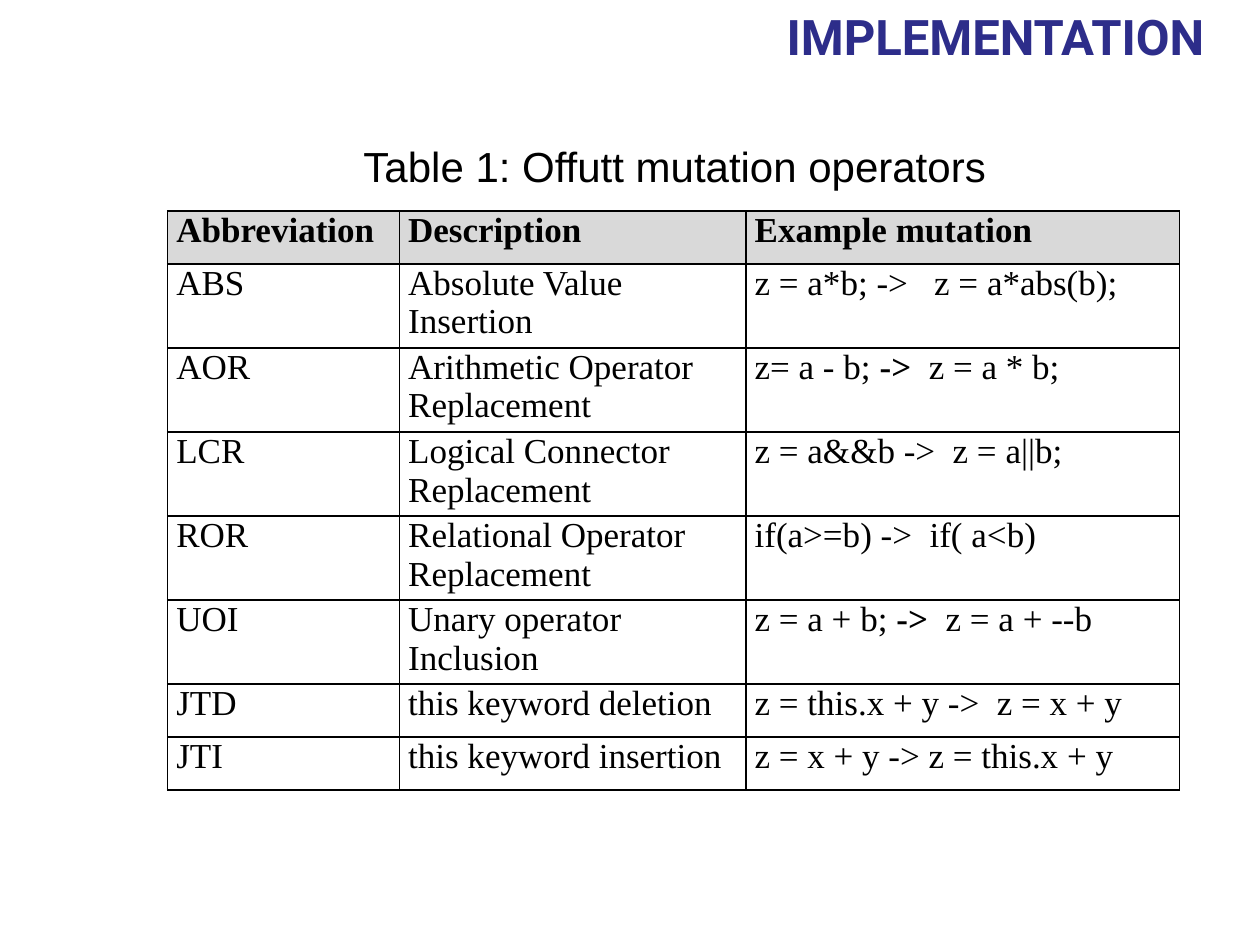
import pptx
import pptx.dml.color
import pptx.enum.text
import pptx.oxml
import pptx.oxml.ns
import pptx.util

Pt = pptx.util.Pt
HEADINGS = ["Abbreviation", "Description", "Example mutation"]
OPERATORS = [
    ["ABS", "Absolute Value Insertion", "z = a*b; ->   z = a*abs(b);"],
    ["AOR", "Arithmetic Operator Replacement", ("z= a - b; ", "->  ", "z = a * b;")],
    ["LCR", "Logical Connector Replacement", "z = a&&b ->  z = a||b;"],
    ["ROR", "Relational Operator Replacement", "if(a>=b) ->  if( a<b)"],
    ["UOI", "Unary operator Inclusion", ("z = a + b; ", "->  ", "z = a + --b")],
    ["JTD", "this keyword deletion", "z = this.x + y ->  z = x + y"],
    ["JTI", "this keyword insertion", "z = x + y -> z = this.x + y"],
]
COLUMN_WIDTHS = [132.5, 198, 247.7]
ROW_HEIGHTS = [30.24] + [48] * 5 + [30.24] * 2


def color(hex_string):
    return pptx.dml.color.RGBColor.from_string(hex_string)


class OperatorSlide:
    """Holds the style and the current slide, and adds its text and table."""

    ink = "000000"
    accent = "2D2D8A"
    heading_fill = "D9D9D9"
    table_font = "Times New Roman"
    table_size = 20
    cell_margin = 5
    border_width = 1

    def __init__(self, deck):
        self.slide = deck.slides.add_slide(deck.slide_layouts[6])

    def style(self, paragraph, name, size, ink, bold=False):
        font = paragraph.font
        font.name, font.size, font.bold = name, Pt(size), bold
        font.color.rgb = color(ink)

    def text(self, wording, box, name, size, ink, bold=False, wrap=True):
        frame = self.slide.shapes.add_textbox(*map(Pt, box)).text_frame
        frame.word_wrap = wrap
        frame.auto_size = pptx.enum.text.MSO_AUTO_SIZE.SHAPE_TO_FIT_TEXT
        paragraph = frame.paragraphs[0]
        paragraph.text = wording
        paragraph.alignment = pptx.enum.text.PP_ALIGN.CENTER
        self.style(paragraph, name, size, ink, bold)

    def borders(self, cell):
        properties = cell._tc.get_or_add_tcPr()
        for side in "LRTB":
            properties.append(pptx.oxml.parse_xml(
                f'<a:ln{side} {pptx.oxml.ns.nsdecls("a")} w="{Pt(self.border_width)}">'
                f'<a:solidFill><a:srgbClr val="{self.ink}"/></a:solidFill></a:ln{side}>'))

    def cell(self, cell, wording, heading):
        cell.margin_left = cell.margin_right = Pt(self.cell_margin)
        cell.margin_top = cell.margin_bottom = 0
        self.borders(cell)
        if heading:
            cell.fill.solid()
            cell.fill.fore_color.rgb = color(self.heading_fill)
        else:
            cell.fill.background()
        paragraph = cell.text_frame.paragraphs[0]
        self.style(paragraph, self.table_font, self.table_size, self.ink, heading)
        if isinstance(wording, str):
            paragraph.text = wording
        else:
            for part, bold in zip(wording, (False, True, False)):
                run = paragraph.add_run()
                run.text, run.font.bold = part, bold

    def table(self, rows, left, top, widths, heights):
        box = map(Pt, (left, top, sum(widths), sum(heights)))
        table = self.slide.shapes.add_table(len(rows), len(widths), *box).table
        table.first_row = table.horz_banding = False
        for column, width in zip(table.columns, widths):
            column.width = Pt(width)
        for row, height in zip(table.rows, heights):
            row.height = Pt(height)
        for r, wordings in enumerate(rows):
            for c, wording in enumerate(wordings):
                self.cell(table.cell(r, c), wording, r == 0)


def main():
    deck = pptx.Presentation()
    deck.slide_width, deck.slide_height = Pt(720), Pt(540)
    page = OperatorSlide(deck)
    page.text("IMPLEMENTATION", (417.6, 0, 302.4, 41), "Roboto", 28, page.accent, bold=True)
    page.table([HEADINGS] + OPERATORS, 95.76, 120.5, COLUMN_WIDTHS, ROW_HEIGHTS)
    page.text("Table 1: Offutt mutation operators", (198.7, 77, 373.7, 36),
              "Arial", 24, page.ink, wrap=False)
    deck.save("out.pptx")


if __name__ == "__main__":
    main()
